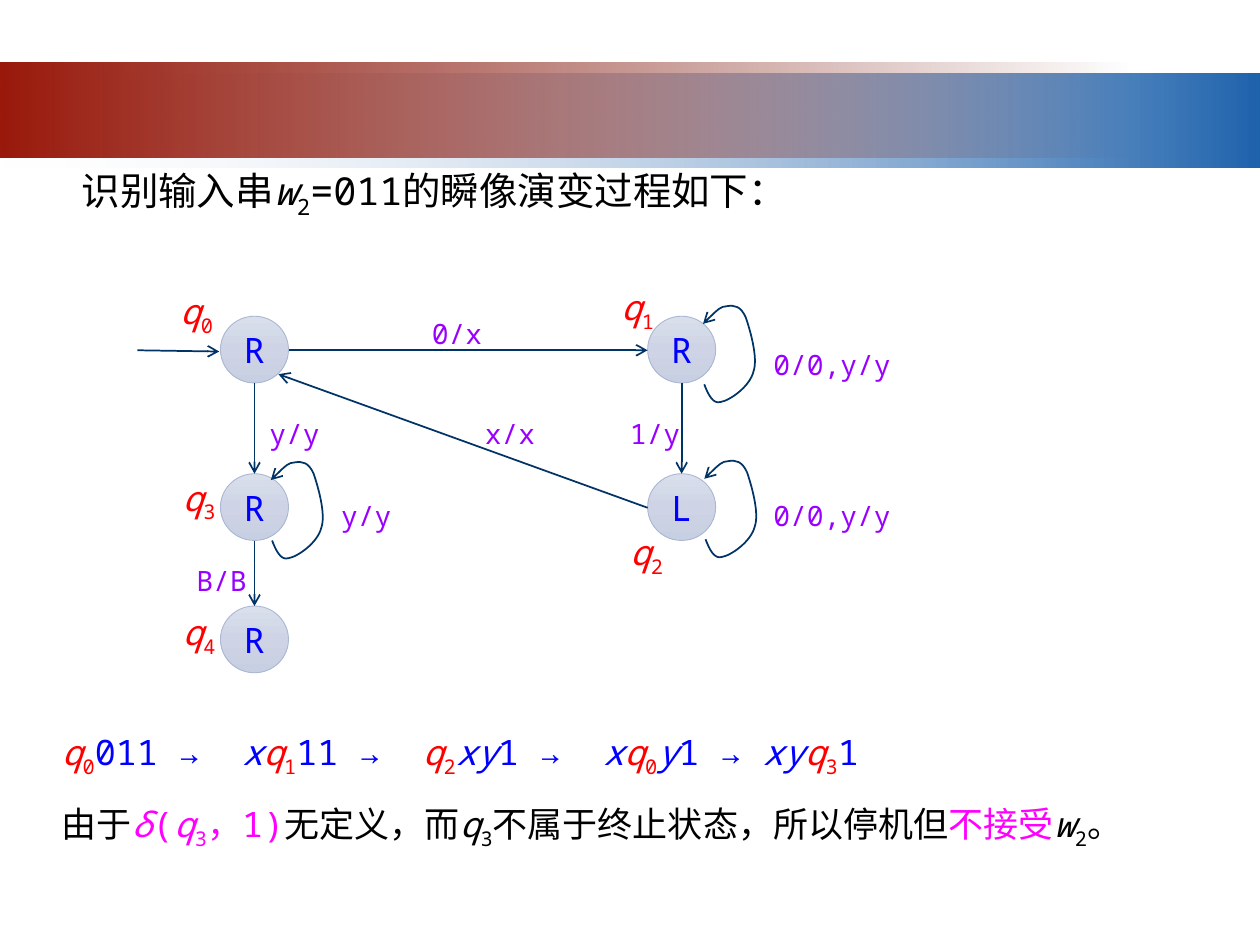
from copy import deepcopy

from lxml import etree
from pptx import Presentation
from pptx.dml.color import RGBColor
from pptx.enum.shapes import MSO_CONNECTOR, MSO_SHAPE
from pptx.enum.text import MSO_ANCHOR, MSO_AUTO_SIZE, PP_ALIGN
from pptx.oxml.ns import qn
from pptx.util import Pt

PX = 9144
FONT = "Noto Sans Mono"
STRAIGHT = MSO_CONNECTOR.STRAIGHT
OVAL, RECTANGLE = MSO_SHAPE.OVAL, MSO_SHAPE.RECTANGLE
MIDDLE, CENTER = MSO_ANCHOR.MIDDLE, PP_ALIGN.CENTER
GROW = MSO_AUTO_SIZE.SHAPE_TO_FIT_TEXT
COLORS = {
    "black": "000000", "red": "FF0000", "blue": "0000FF",
    "magenta": "FF00FF", "purple": "9900FF", "navy": "003366",
    "band_pale": "F1F2F7", "band_blue": "1F63AD",
    "band_red": "99190B", "band_dark": "6D1208",
    "node_top": "D9DFEB", "node_middle": "CED4E5",
    "node_bottom": "C7CFE2", "node_edge": "ABB7D3",
}
STATE_WIDTH, STATE_HEIGHT = 54, 53
LOOP_POINTS = [
    (1, 63),
    (4, 71), (8, 79), (14, 77),
    (21, 76), (37, 65), (40, 53),
    (44, 42), (37, 19), (34, 10),
    (30, 1), (25, 0), (19, 1),
    (14, 1), (7, 8), (0, 15),
]


def rgb(name):
    return RGBColor.from_string(COLORS[name])


def emu(*lengths):
    return [round(length * PX) for length in lengths]


def set_gradient(shape, names, angle, clear=None):
    shape.shadow.inherit = False
    shape.fill.gradient()
    shape.fill.gradient_angle = angle
    stops = shape.element.spPr.find(".//" + qn("a:gsLst"))
    for _ in names[2:]:
        stops.insert(1, deepcopy(stops[0]))
    for index, stop in enumerate(shape.fill.gradient_stops):
        stop.position = index / (len(names) - 1)
        stop.color.rgb = rgb(names[index])
    if clear is not None:
        color = stops.findall(".//" + qn("a:srgbClr"))[clear]
        etree.SubElement(color, qn("a:alpha"), val="0")


def add_band(page, box, names, clear):
    band = page.shapes.add_shape(RECTANGLE, *emu(*box))
    set_gradient(band, names, 0, clear)
    band.line.fill.background()


def fill_paragraph(para, size, color, spans):
    para.font.name = FONT
    para.font.size = Pt(size)
    para.font.color.rgb = rgb(color)
    for text, name, style in spans:
        span = para.add_run()
        span.text = text
        if name != color:
            span.font.color.rgb = rgb(name)
        if style == "italic":
            span.font.italic = True
        if style == "sub":
            span.font._element.set("baseline", "-25000")


def add_text(page, box, size, color, paragraphs, spacing=None):
    frame = page.shapes.add_textbox(*emu(*box)).text_frame
    frame.word_wrap = True
    frame.auto_size = GROW
    for index, spans in enumerate(paragraphs):
        para = frame.add_paragraph() if index else frame.paragraphs[0]
        if spacing:
            para.line_spacing = spacing
        fill_paragraph(para, size, color, spans)


def indexed(letter, number, color):
    return [(letter, color, "italic"), (number, color, "sub")]


def style_arrow(shape):
    shape.line.color.rgb = rgb("navy")
    shape.line.width = Pt(1)
    outline = shape.element.spPr.find(qn("a:ln"))
    etree.SubElement(outline, qn("a:tailEnd"), type="arrow")


def add_arrow(group, start, end):
    arrow = group.shapes.add_connector(STRAIGHT, *emu(*start, *end))
    style_arrow(arrow)
    etree.SubElement(arrow.element.spPr, qn("a:effectLst"))


def bend_segments(shape):
    segments = list(shape.element.spPr.iter(qn("a:lnTo")))
    for index in range(0, len(segments), 3):
        curve = etree.Element(qn("a:cubicBezTo"))
        segments[index].addprevious(curve)
        for segment in segments[index:index + 3]:
            curve.append(segment[0])
            segment.getparent().remove(segment)


def add_loop(group, left, top):
    points = [tuple(emu(left + x, top + y)) for x, y in LOOP_POINTS]
    builder = group.shapes.build_freeform(*points[0], scale=1.0)
    builder.add_line_segments(points[1:], close=False)
    loop = builder.convert_to_shape()
    bend_segments(loop)
    loop.shadow.inherit = False
    loop.fill.background()
    style_arrow(loop)


def add_state(group, left, top, move):
    state = group.shapes.add_shape(
        OVAL, *emu(left, top, STATE_WIDTH, STATE_HEIGHT))
    set_gradient(state, ("node_top", "node_middle", "node_bottom"), 270)
    state.line.color.rgb = rgb("node_edge")
    state.line.width = Pt(0.5)
    state.text_frame.vertical_anchor = MIDDLE
    para = state.text_frame.paragraphs[0]
    para.alignment = CENTER
    fill_paragraph(para, 20, "blue", [(move, "blue", "")])


def add_diagram(page, left, top):
    def place(x, y):
        return left + x, top + y

    group = page.shapes.add_group_shape()
    near, far = 66, 405
    first, second, third = 29, 154, 259
    half_width, half_height = STATE_WIDTH // 2, STATE_HEIGHT // 2
    states = [
        ("0", near, first, "R", (24, 3)),
        ("1", far, first, "R", (374, 0)),
        ("2", far, second, "L", (381, 194)),
        ("3", near, second, "R", (26, 151)),
        ("4", near, third, "R", (26, 258)),
    ]
    for number, x, y, move, label in states:
        add_state(group, *place(x, y), move)
        add_text(group, (*place(*label), 50, 44), 20, "red",
                 [indexed("q", number, "red")])

    middle = first + half_height + 1
    add_arrow(group, place(0, middle), place(near - 1, middle + 1))
    add_arrow(group, place(near + STATE_WIDTH, middle), place(far, middle))
    add_arrow(group, place(far, second + half_height + 1), place(112, 75))
    for x, upper, lower in ((far, first, second), (near, first, second),
                            (near, second, third)):
        add_arrow(group, place(x + half_width, upper + STATE_HEIGHT),
                  place(x + half_width, lower))

    for x, y in ((449, 20), (450, 143), (106, 144)):
        add_loop(group, *place(x, y))

    edges = [
        ("0/x", 224, 24), ("y/y", 95, 104), ("x/x", 266, 104),
        ("1/y", 381, 104), ("y/y", 152, 169), ("B/B", 37, 220),
        ("0/0,y/y", 495, 49), ("0/0,y/y", 495, 169),
    ]
    for text, x, y in edges:
        width = 72 if len(text) == 3 else 114
        add_text(group, (*place(x, y), width, 37), 16, "purple",
                 [[(text, "purple", "")]])


def add_heading(page, box):
    add_text(page, box, 22, "black", [[
        ("识别输入串", "black", ""), *indexed("w", "2", "black"),
        ("=011的瞬像演变过程如下：", "black", "")]])


def add_derivation(page, box):
    steps = [
        *indexed("q", "0", "red"), ("011 →  ", "blue", ""),
        ("x", "blue", "italic"), *indexed("q", "1", "red"),
        ("11 →  ", "blue", ""), *indexed("q", "2", "red"),
        ("xy", "blue", "italic"), ("1 →  ", "blue", ""),
        ("x", "blue", "italic"), *indexed("q", "0", "red"),
        ("y", "blue", "italic"), ("1 → ", "blue", ""),
        ("xy", "blue", "italic"), *indexed("q", "3", "red"),
        ("1", "blue", ""),
    ]
    conclusion = [
        ("由于", "black", ""), ("δ", "magenta", "italic"),
        ("(", "magenta", ""), *indexed("q", "3", "magenta"),
        ("，1)", "magenta", ""), ("无定义，而", "black", ""),
        *indexed("q", "3", "black"),
        ("不属于终止状态，所以停机但", "black", ""),
        ("不接受", "magenta", ""), *indexed("w", "2", "black"),
        ("。", "black", ""),
    ]
    add_text(page, box, 20, "black", [steps, conclusion], 1.5)


def main():
    deck = Presentation()
    deck.slide_width, deck.slide_height = emu(1000, 750)
    page = deck.slides.add_slide(deck.slide_layouts[6])
    add_band(page, (0, 58, 1000, 75), ("band_pale", "band_blue"), 0)
    add_band(page, (0, 50, 900, 75), ("band_red", "band_dark"), 1)
    add_heading(page, (55, 128, 672, 47))
    add_derivation(page, (39, 556, 898, 105))
    add_diagram(page, 109, 222)
    deck.save("out.pptx")


if __name__ == "__main__":
    main()
